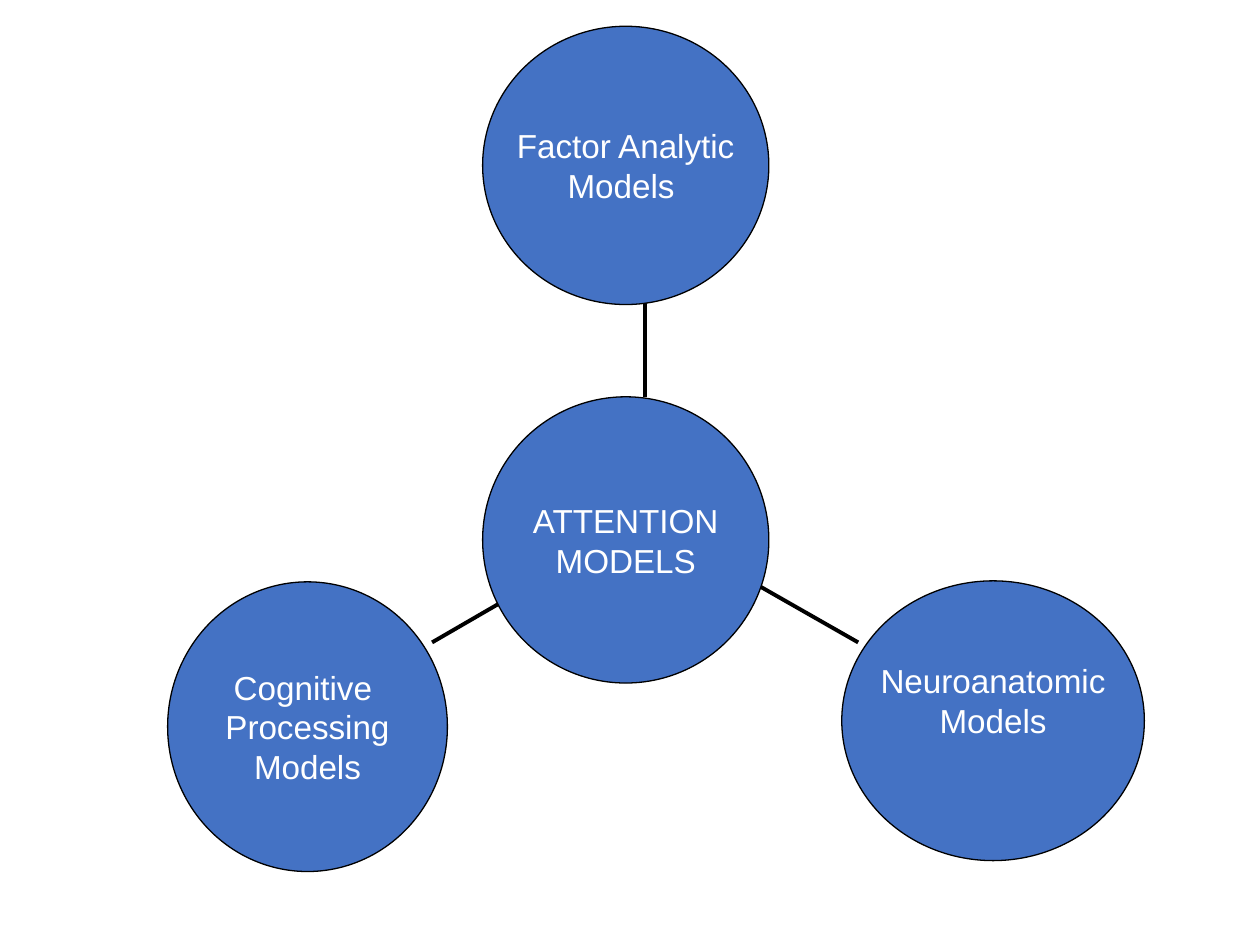
"""Build a slide with three families of models around the attention models."""
from lxml.etree import SubElement
from pptx import Presentation
from pptx.dml.color import RGBColor
from pptx.enum.shapes import MSO_CONNECTOR as Connector, MSO_SHAPE as Shape
from pptx.enum.text import MSO_ANCHOR as Anchor, PP_ALIGN as Align
from pptx.oxml.ns import qn
from pptx.util import Cm, Pt

BLUE = RGBColor(0x44, 0x72, 0xC4)
BLACK = RGBColor(0, 0, 0)
WHITE = RGBColor(0xFF, 0xFF, 0xFF)

SPOKES = [
    (10.85, 11.71, 8.71, 12.95),
    (15.16, 11.73, 17.3, 12.95),
    (13, 8, 13, 5.51),
]
CIRCLES = [
    {"box": (3.38, 11.73, 5.64, 5.84), "lines": ["Cognitive ", "Processing", "Models"]},
    {"box": (16.97, 11.71, 6.1, 5.64), "lines": ["Neuroanatomic", "Models"], "bottom": 0.81},
    {"box": (9.73, 0.53, 5.77, 5.61), "lines": ["Factor Analytic", "Models "]},
    {"box": (9.73, 8, 5.77, 5.77), "lines": ["ATTENTION", "MODELS"]},
]


def add_spoke(slide, ends):
    spoke = slide.shapes.add_connector(Connector.STRAIGHT, *map(Cm, ends))
    spoke.line.color.rgb = BLACK
    spoke.line.width = Pt(2.25)
    SubElement(spoke._element.spPr, qn("a:effectLst"))


def add_circle(slide, box, lines, bottom=0):
    circle = slide.shapes.add_shape(Shape.OVAL, *map(Cm, box))
    circle.shadow.inherit = False
    circle.fill.solid()
    circle.fill.fore_color.rgb = BLUE
    circle.line.color.rgb = BLACK
    circle.line.width = Pt(0.75)
    frame = circle.text_frame
    frame.word_wrap = False
    frame.vertical_anchor = Anchor.MIDDLE
    frame.margin_left = frame.margin_right = frame.margin_top = 0
    frame.margin_bottom = Cm(bottom)
    for index, line in enumerate(lines):
        paragraph = frame.add_paragraph() if index else frame.paragraphs[0]
        paragraph.alignment = Align.CENTER
        run = paragraph.add_run()
        run.text = line
        run.font.name = "Arial"
        run.font.size = Pt(19)
        run.font.color.rgb = WHITE


def main():
    presentation = Presentation()
    presentation.slide_width, presentation.slide_height = Cm(25.4), Cm(19.05)
    slide = presentation.slides.add_slide(presentation.slide_layouts[6])
    for ends in SPOKES:
        add_spoke(slide, ends)
    for circle in CIRCLES:
        add_circle(slide, **circle)
    presentation.save("out.pptx")


if __name__ == "__main__":
    main()
